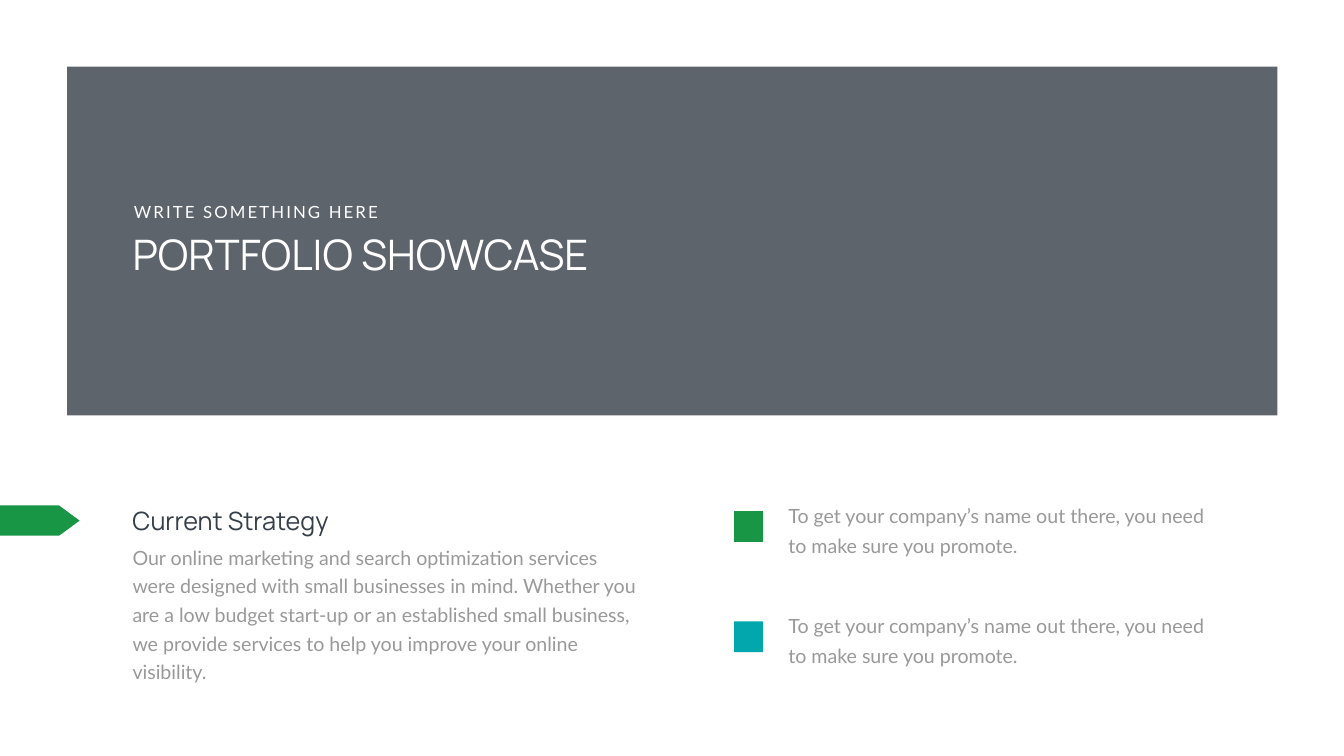
import pptx
import pptx.dml.color
import pptx.enum.shapes
import pptx.enum.text
import pptx.oxml.ns
import pptx.util
from lxml import etree

PX = 9144  # EMU per px, 100 px to the inch
SLATE, GREEN, TEAL, GREY, WHITE = "363E48", "199645", "02A7AD", "999999", "FFFFFF"
RECTANGLE = pptx.enum.shapes.MSO_SHAPE.RECTANGLE
PENTAGON = pptx.enum.shapes.MSO_SHAPE.PENTAGON

presentation = pptx.Presentation()
presentation.slide_width = 2666 * PX
presentation.slide_height = 1500 * PX
slide = presentation.slides.add_slide(presentation.slide_layouts[6])


def add_block(kind, left, top, width, height, color):
    shape = slide.shapes.add_shape(kind, left * PX, top * PX, width * PX, height * PX)
    shape.shadow.inherit = False
    shape.fill.solid()
    shape.fill.fore_color.rgb = pptx.dml.color.RGBColor.from_string(color)
    shape.line.fill.background()
    return shape


def add_text(text, left, top, width, height, *, size, color, font="Lato",
             wrap=True, line_points=None, tracking=None):
    box = slide.shapes.add_textbox(left * PX, top * PX, width * PX, height * PX)
    frame = box.text_frame
    frame.word_wrap = wrap
    frame.auto_size = pptx.enum.text.MSO_AUTO_SIZE.SHAPE_TO_FIT_TEXT
    paragraph = frame.paragraphs[0]
    if line_points:
        paragraph.line_spacing = pptx.util.Pt(line_points)
    run = paragraph.add_run()
    run.text = text
    run.font.name = font
    run.font.size = pptx.util.Pt(size)
    run.font.color.rgb = pptx.dml.color.RGBColor.from_string(color)
    if tracking:
        run.font._element.set("spc", str(tracking * 100))


# Banner, 80 % opaque
banner = add_block(RECTANGLE, 133, 132, 2401, 692, SLATE)
banner_color = banner._element.spPr.find(".//" + pptx.oxml.ns.qn("a:srgbClr"))
etree.SubElement(banner_color, pptx.oxml.ns.qn("a:alpha"), val="80000")

# Banner title
add_text("PORTFOLIO SHOWCASE", 253, 449, 1025, 111, size=60, color=WHITE, font="Manrope")
add_text("WRITE SOMETHING HERE", 256, 395, 514, 50, size=24, color=WHITE,
         wrap=False, tracking=3)

# Strategy section
add_text(
    "Our online marketing and search optimization services were designed with small "
    "businesses in mind. Whether you are a low budget start-up or an established small "
    "business, we provide services to help you improve your online visibility.",
    253, 1068, 1025, 234, size=28, color=GREY, line_points=40.8)
add_text("Current Strategy", 253, 997, 443, 71, size=36, color=SLATE,
         font="Manrope", wrap=False)
marker = add_block(PENTAGON, 0, 1003, 158, 60, GREEN)
marker.adjustments[0] = 0.68

# Key points, each with a coloured square
for index, color in enumerate([GREEN, TEAL]):
    top = 981 + index * 219
    add_block(RECTANGLE, 1456, top + 33, 58, 61, color)
    add_text("To get your company’s name out there, you need to make sure you promote.",
             1554, top, 858, 125, size=28, color=GREY, line_points=43)

presentation.save("out.pptx")
